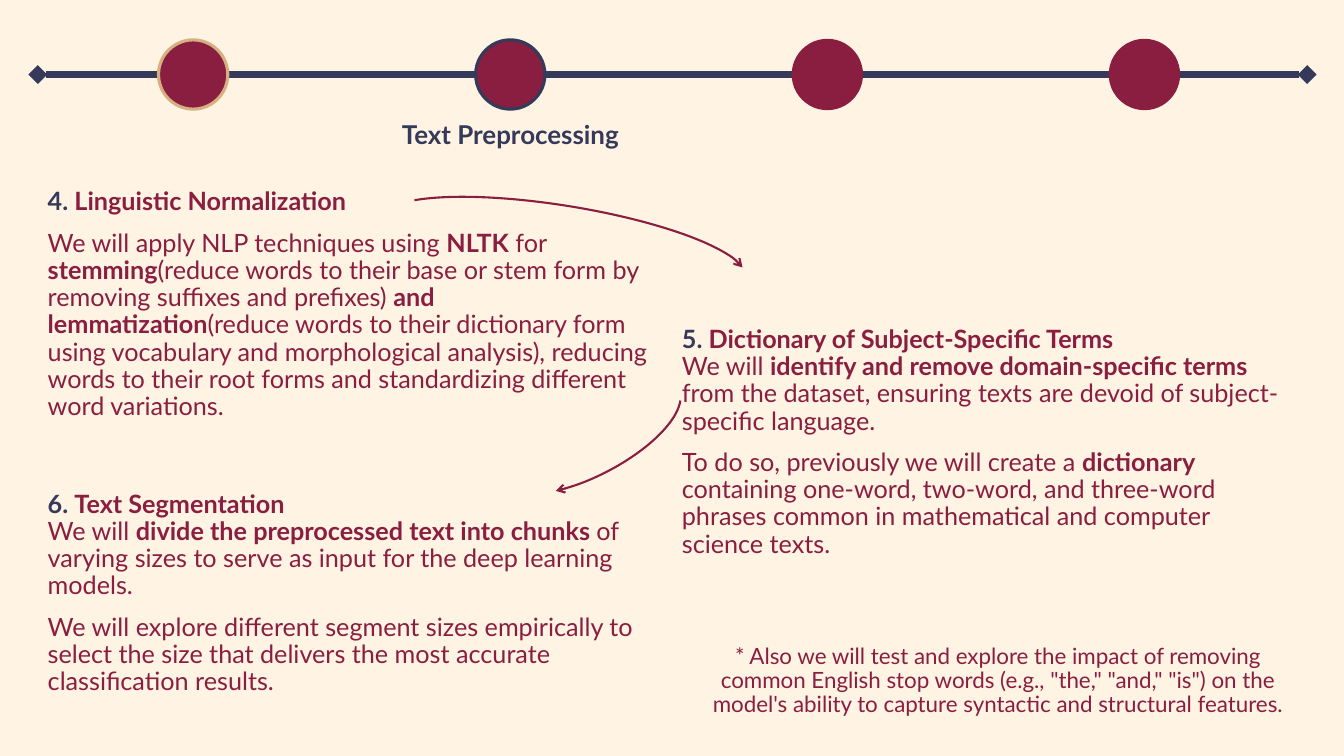
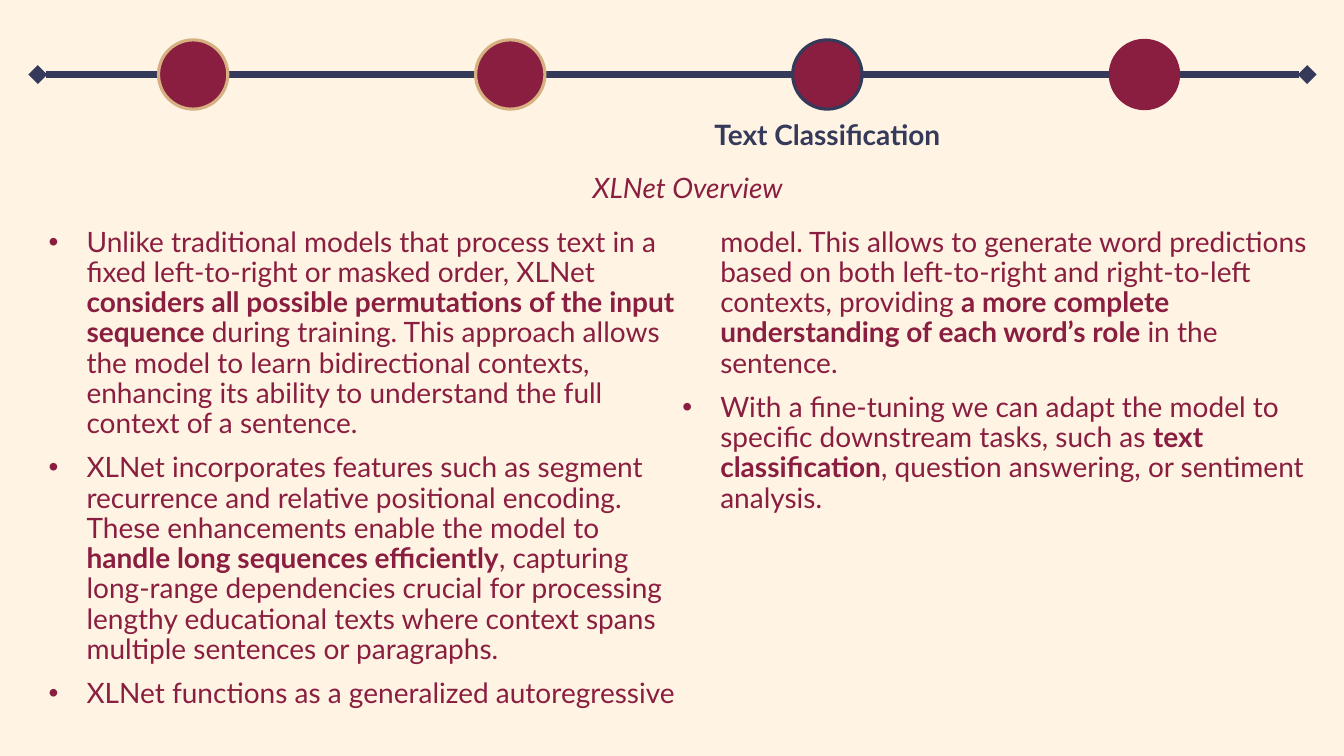
import collections

import pptx
import pptx.dml.color
import pptx.enum.shapes
import pptx.enum.text
import pptx.oxml.ns
import pptx.util
from lxml import etree

EMU_PER_PX = 9525
PAGE_WIDTH, PAGE_HEIGHT = 1280, 720
CREAM = pptx.dml.color.RGBColor(0xFF, 0xF3, 0xE3)
NAVY = pptx.dml.color.RGBColor(0x35, 0x3A, 0x5A)
WINE = pptx.dml.color.RGBColor(0x8A, 0x1E, 0x40)
GOLD = pptx.dml.color.RGBColor(0xD7, 0xB0, 0x82)
FONT = "Lato"
LEFT = pptx.enum.text.PP_ALIGN.LEFT
CENTER = pptx.enum.text.PP_ALIGN.CENTER
SHAPES = pptx.enum.shapes.MSO_SHAPE

TIMELINE_LEFT, TIMELINE_RIGHT, TIMELINE_Y = 36, 1245, 71
STEP_COUNT, FIRST_STEP_X, STEP_GAP, STEP_SIZE = 4, 184, 302, 66
LABEL_TOP, LABEL_WIDTH, LABEL_HEIGHT = 105, 268, 50
TOPIC_WIDTH, TOPIC_HEIGHT = 605, 243
BULLET_INDENT = 36

Span = collections.namedtuple("Span", "text bold italic color", defaults=(False, False, WINE))
BREAK = Span("\n")

NORMALIZATION = [
    [Span("4. ", bold=True, color=NAVY), Span("Linguistic Normalization", bold=True)],
    [
        Span("We will apply NLP techniques using "),
        Span("NLTK", bold=True),
        Span(" for "),
        Span("stemming", bold=True),
        Span("(reduce words to their base or stem form by removing suffixes and prefixes) "),
        Span("and lemmatization", bold=True),
        Span("(reduce words to their dictionary form using vocabulary and morphological "
             "analysis), reducing words to their root forms and standardizing different "
             "word variations."),
    ],
]
DICTIONARY = [
    [
        Span("5. ", bold=True, color=NAVY),
        Span("Dictionary of Subject-Specific Terms", bold=True),
        BREAK,
        Span("We will "),
        Span("identify and remove domain-specific terms ", bold=True),
        Span("from the dataset, ensuring texts are devoid of subject-specific language."),
    ],
    [
        Span("To do so, previously we will create a "),
        Span("dictionary ", bold=True),
        Span("containing one-word, two-word, and three-word phrases common in "
             "mathematical and computer science texts."),
    ],
]
SEGMENTATION = [
    [
        Span("6. ", bold=True, color=NAVY),
        Span("Text Segmentation", bold=True),
        BREAK,
        Span("We will "),
        Span("divide the preprocessed text into chunks ", bold=True),
        Span("of varying sizes to serve as input for the deep learning models."),
    ],
    [Span("We will explore different segment sizes empirically to select the size that "
          "delivers the most accurate classification results.")],
]
STOP_WORDS_NOTE = [
    [Span("* Also we will test and explore the impact of removing common English stop words "
          "(e.g., \"the,\" \"and,\" \"is\") on the model's ability to capture syntactic and "
          "structural features.")],
]
XLNET_POINTS = [
    [
        Span("Unlike traditional models that process text in a fixed left-to-right or masked "
             "order, XLNet"),
        Span(" considers all possible permutations of the input sequence", bold=True),
        Span(" during training. This approach allows the model to learn bidirectional "
             "contexts, enhancing its ability to understand the full context of a sentence."),
    ],
    [
        Span("XLNet incorporates features such as segment recurrence and relative positional "
             "encoding. These enhancements enable the model to "),
        Span("handle long sequences efficiently", bold=True),
        Span(", capturing long-range dependencies crucial for processing lengthy educational "
             "texts where context spans multiple sentences or paragraphs."),
    ],
    [
        Span("XLNet functions as a generalized autoregressive model. This allows to generate "
             "word predictions based on both left-to-right and right-to-left contexts, "
             "providing "),
        Span("a more complete understanding of each word’s role ", bold=True),
        Span("in the sentence."),
    ],
    [
        Span("With a fine-tuning we can adapt the model to specific downstream tasks, such as "),
        Span("text classification", bold=True),
        Span(", question answering, or sentiment analysis."),
    ],
]


def px(length):
    """Turn pixels into EMU."""
    return pptx.util.Emu(length * EMU_PER_PX)


def add_child(parent, tag, **attributes):
    """Append a DrawingML element to a parent."""
    return etree.SubElement(parent, pptx.oxml.ns.qn(tag), attributes)


def set_line(shape, color, width, **ends):
    """Style an outline, with optional arrowheads given as headEnd or tailEnd."""
    shape.line.color.rgb = color
    shape.line.width = pptx.util.Pt(width)
    outline = shape.element.spPr.find(pptx.oxml.ns.qn("a:ln"))
    for end, kind in ends.items():
        add_child(outline, f"a:{end}", type=kind)


def add_bullet(para):
    """Give a paragraph a hanging round bullet."""
    properties = para._p.get_or_add_pPr()
    properties.set("marL", str(px(BULLET_INDENT)))
    properties.set("indent", str(-px(BULLET_INDENT)))
    add_child(properties, "a:buFont", typeface="Arial")
    add_child(properties, "a:buChar", char="•")


def add_span(para, span, size):
    """Add one styled run or a line break."""
    if span is BREAK:
        para.add_line_break()
        return
    run = para.add_run()
    run.text = span.text
    run.font.name = FONT
    run.font.size = pptx.util.Pt(size)
    run.font.bold = span.bold
    run.font.italic = span.italic
    run.font.color.rgb = span.color


def add_text(page, place, paragraphs, size, align=LEFT, bulleted=False, columns=1):
    """Add a vertically centred text box."""
    box = page.shapes.add_textbox(*map(px, place))
    frame = box.text_frame
    frame.word_wrap = True
    frame.vertical_anchor = pptx.enum.text.MSO_ANCHOR.MIDDLE
    if columns > 1:
        frame._txBody.bodyPr.set("numCol", str(columns))
    for index, spans in enumerate(paragraphs):
        para = frame.add_paragraph() if index else frame.paragraphs[0]
        para.alignment = align
        para.line_spacing = 0.9
        if index:
            para.space_before = pptx.util.Pt(10)
        if bulleted:
            add_bullet(para)
        for span in spans:
            add_span(para, span, size)


def add_curved_arrow(page, place, rotation, start, end):
    """Add an arc with an arrowhead, its angles given in degrees."""
    arc = page.shapes.add_shape(SHAPES.ARC, *map(px, place))
    arc.adjustments[0] = start * 0.6
    arc.adjustments[1] = end * 0.6
    arc.rotation = rotation
    arc.shadow.inherit = False
    arc.fill.background()
    set_line(arc, WINE, 1.5, tailEnd="arrow")


def add_timeline(page, current, label, label_size):
    """Draw the progress line, its steps and the label of the current step."""
    track = page.shapes.add_connector(
        pptx.enum.shapes.MSO_CONNECTOR.STRAIGHT,
        px(TIMELINE_LEFT), px(TIMELINE_Y), px(TIMELINE_RIGHT), px(TIMELINE_Y))
    set_line(track, NAVY, 4.5, headEnd="diamond", tailEnd="diamond")
    add_child(track.element.spPr, "a:effectLst")
    for index in range(STEP_COUNT):
        left = FIRST_STEP_X + index * STEP_GAP - STEP_SIZE // 2
        place = (left, TIMELINE_Y - STEP_SIZE // 2, STEP_SIZE, STEP_SIZE)
        step = page.shapes.add_shape(SHAPES.FLOWCHART_CONNECTOR, *map(px, place))
        step.shadow.inherit = False
        step.fill.solid()
        step.fill.fore_color.rgb = WINE
        if index < current:
            set_line(step, GOLD, 2.25)
        elif index == current:
            set_line(step, NAVY, 2.25)
        else:
            set_line(step, WINE, 1.5)
    label_left = FIRST_STEP_X + current * STEP_GAP - LABEL_WIDTH // 2
    add_text(page, (label_left, LABEL_TOP, LABEL_WIDTH, LABEL_HEIGHT),
             [[Span(label, bold=True, color=NAVY)]], label_size, CENTER)


def add_page(deck, current, label, label_size):
    """Add a cream page with its timeline."""
    page = deck.slides.add_slide(deck.slide_layouts[6])
    page.background.fill.solid()
    page.background.fill.fore_color.rgb = CREAM
    add_timeline(page, current, label, label_size)
    return page


def build_preprocessing(deck):
    """Build the page on text preprocessing."""
    page = add_page(deck, 1, "Text Preprocessing", 18.5)
    topics = [(36, 169, NORMALIZATION), (640, 300, DICTIONARY), (36, 444, SEGMENTATION)]
    for left, top, paragraphs in topics:
        add_text(page, (left, top, TOPIC_WIDTH, TOPIC_HEIGHT), paragraphs, 18)
    add_text(page, (648, 590, TOPIC_WIDTH, 118), STOP_WORDS_NOTE, 16, CENTER)
    add_curved_arrow(page, (361, 196, 351, 79), 9.2, 188.33, 357.24)
    add_curved_arrow(page, (461, 375, 196, 79), 153.1, 186.52, 326.12)


def build_classification(deck):
    """Build the page on text classification."""
    page = add_page(deck, 2, "Text Classification", 20)
    add_text(page, (37, 212, 1226, 469), XLNET_POINTS, 20, bulleted=True, columns=2)
    add_text(page, (305, 147, 700, 66), [[Span("XLNet Overview", italic=True)]], 20, CENTER)


def main():
    """Build and save the deck."""
    deck = pptx.Presentation()
    deck.slide_width = px(PAGE_WIDTH)
    deck.slide_height = px(PAGE_HEIGHT)
    build_preprocessing(deck)
    build_classification(deck)
    deck.save("out.pptx")


if __name__ == "__main__":
    main()
